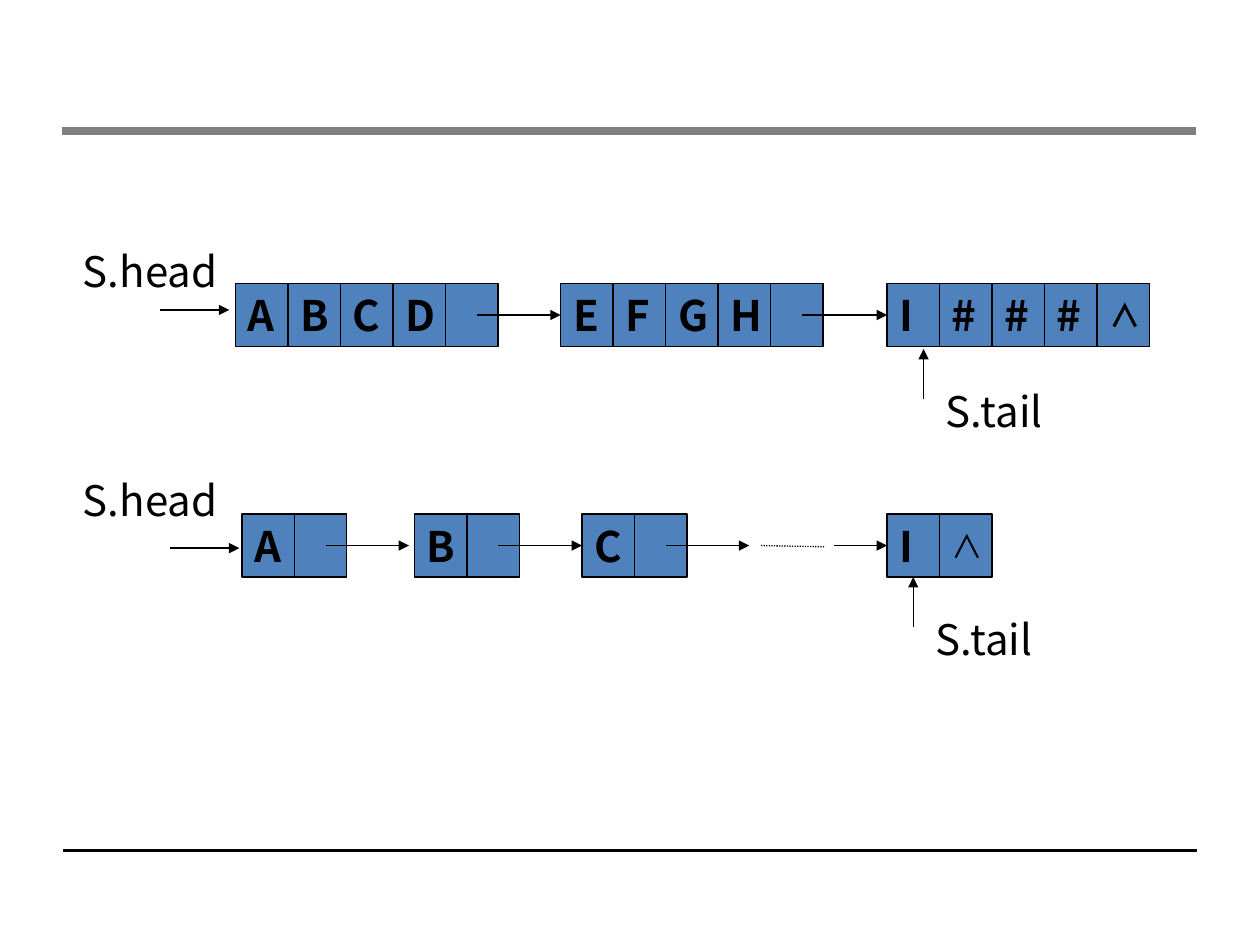
from collections import namedtuple
from dataclasses import dataclass

from lxml.etree import SubElement
from pptx import Presentation
from pptx.dml.color import RGBColor
from pptx.enum.dml import MSO_LINE as Dash
from pptx.enum.shapes import MSO_CONNECTOR as Connector, MSO_SHAPE as Shape
from pptx.enum.text import MSO_ANCHOR as Anchor, MSO_AUTO_SIZE as AutoSize, PP_ALIGN as Align
from pptx.oxml.ns import qn
from pptx.util import Inches, Pt


@dataclass(frozen=True)
class Theme:
    ink: RGBColor = RGBColor(0x00, 0x00, 0x00)
    cell: RGBColor = RGBColor(0x4F, 0x81, 0xBD)
    top_rule: RGBColor = RGBColor(0x80, 0x80, 0x80)
    font: str = "Noto Sans CJK SC"
    text: Pt = Pt(24)
    null: Pt = Pt(18)
    thin: Pt = Pt(0.75)


THEME = Theme()
Box = namedtuple("Box", "left top width height")
CELL_W, CELL_H = Inches(5) // 12, Inches(0.5)
LINK_INSET, LINK_LENGTH = Inches(0.25), Inches(0.66)
LEFT, BOTTOM = 1, 2


def inch_box(*lengths):
    return Box(*map(Inches, lengths))


def write(tf, text, **font):
    p = tf.paragraphs[0]
    p.alignment = Align.LEFT
    r = p.add_run()
    r.text = text
    r.font.color.rgb = THEME.ink
    formats = {"name": THEME.font, "size": THEME.text, **font}
    for name, value in formats.items():
        setattr(r.font, name, value)


def add_line(slide, start, end, color=THEME.ink, width=THEME.thin, dash=None):
    line = slide.shapes.add_connector(Connector.STRAIGHT, *start, *end)
    line.line.color.rgb = color
    line.line.width = width
    if dash:
        line.line.dash_style = dash
    SubElement(line._element.spPr, qn("a:effectLst"))
    return line


def add_arrow(slide, start, end, target=None, side=LEFT):
    arrow = add_line(slide, start, end)
    SubElement(arrow.line._get_or_add_ln(), qn("a:tailEnd"), type="triangle")
    if target is not None:
        arrow.end_connect(target, side)


def add_label(slide, left, top, text):
    sp = slide.shapes.add_textbox(left, top, Inches(1.34), Inches(0.5))
    tf = sp.text_frame
    tf.word_wrap = True
    tf.auto_size = AutoSize.SHAPE_TO_FIT_TEXT
    write(tf, text)


def add_cell(slide, left, top, text, null_bold):
    sp = slide.shapes.add_shape(Shape.RECTANGLE, left, top, CELL_W, CELL_H)
    sp.shadow.inherit = False
    sp.fill.solid()
    sp.fill.fore_color.rgb = THEME.cell
    sp.line.color.rgb = THEME.ink
    sp.line.width = THEME.thin
    if text != " ":
        tf = sp.text_frame
        tf.word_wrap = False
        tf.vertical_anchor = Anchor.MIDDLE
        null = text == "∧"
        write(tf, text, size=THEME.null if null else THEME.text,
              bold=null_bold if null else True)
    return sp


def add_node(slide, left, top, letters, null_bold=True):
    return [add_cell(slide, left + i * CELL_W, top, letter, null_bold)
            for i, letter in enumerate(letters)]


def add_link(slide, node, target=None):
    x = node[-1].left + LINK_INSET
    y = node[-1].top + CELL_H // 2
    add_arrow(slide, (x, y), (x + LINK_LENGTH, y), target)


def add_pointers(slide, box, head, tail, tail_label, tail_target=None):
    (head_x, head_y), (tail_x, tail_y) = head, tail
    x, y = box.left + head_x, box.top + head_y
    add_arrow(slide, (x, y), (x + Inches(0.55), y))
    x, y = box.left + tail_x, box.top + tail_y
    add_arrow(slide, (x, y + Inches(0.4)), (x, y), tail_target, BOTTOM)
    add_label(slide, box.left, box.top, "S.head")
    add_label(slide, box.left + tail_label, box.top + box.height - Inches(0.5), "S.tail")


def block_list(slide, box):
    top = box.top + Inches(0.35)
    nodes = [add_node(slide, box.left + Inches(x), top, letters)
             for x, letters in ((1.31, "ABCD "), (3.89, "EFGH "), (6.48, "I###∧"))]
    for node, following in zip(nodes, nodes[1:]):
        add_link(slide, node, following[0])
    add_pointers(slide, box, (Inches(0.71), Inches(0.56)),
                 (Inches(6.77), Inches(0.87)), Inches(6.85))


def single_list(slide, box):
    top = box.top + Inches(0.36)
    middle = top + CELL_H // 2
    a, b, c, last = [
        add_node(slide, box.left + Inches(x), top, letters, null_bold=False)
        for x, letters in ((1.36, "A "), (2.73, "B "), (4.06, "C "), (6.48, "I∧"))]
    add_link(slide, a)
    add_link(slide, b, c[0])
    add_link(slide, c)
    add_line(slide, (box.left + Inches(5.48), middle),
             (box.left + Inches(5.98), middle + Inches(0.01)), dash=Dash.ROUND_DOT)
    add_arrow(slide, (box.left + Inches(6.06), middle), (last[0].left, middle), last[0])
    tail_x = last[0].left + CELL_W // 2 - box.left
    add_pointers(slide, box, (Inches(0.79), Inches(0.63)),
                 (tail_x, Inches(0.86)), Inches(6.77), last[0])


def page_rules(slide, box):
    bottom = box.top + box.height
    shift = Inches(0.01)
    add_line(slide, (box.left + shift, bottom), (box.left + box.width + shift, bottom),
             width=Pt(2))
    add_line(slide, (box.left, box.top), (box.left + box.width, box.top),
             THEME.top_rule, Pt(5))


def main():
    prs = Presentation()
    prs.slide_width, prs.slide_height = Inches(10), Inches(7.5)
    s = prs.slides.add_slide(prs.slide_layouts[6])
    page_rules(s, inch_box(0.49, 1.04, 9, 5.71))
    block_list(s, inch_box(0.56, 1.9, 8.56, 1.61))
    single_list(s, inch_box(0.56, 3.72, 8.56, 1.6))
    prs.save("out.pptx")


if __name__ == "__main__":
    main()
